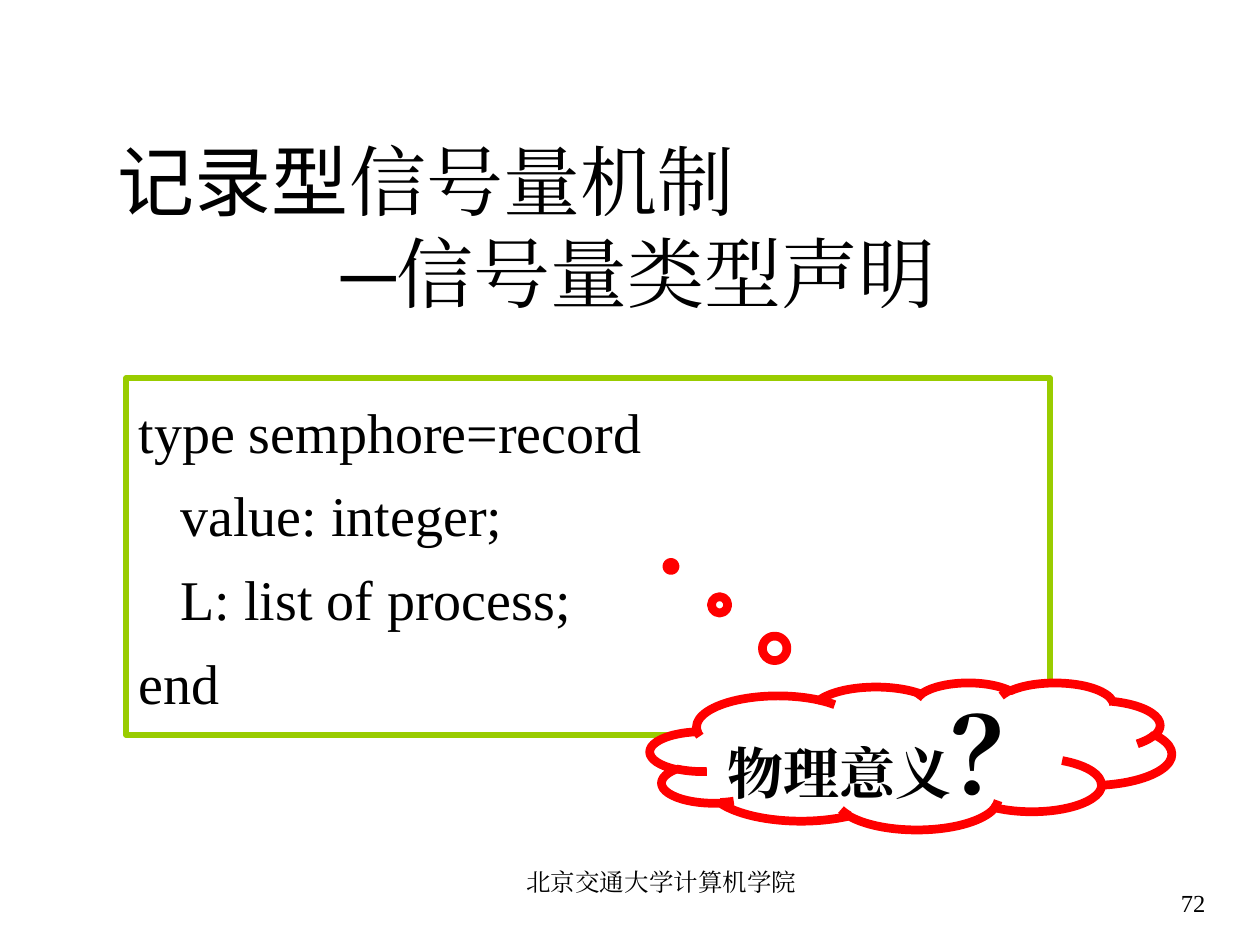
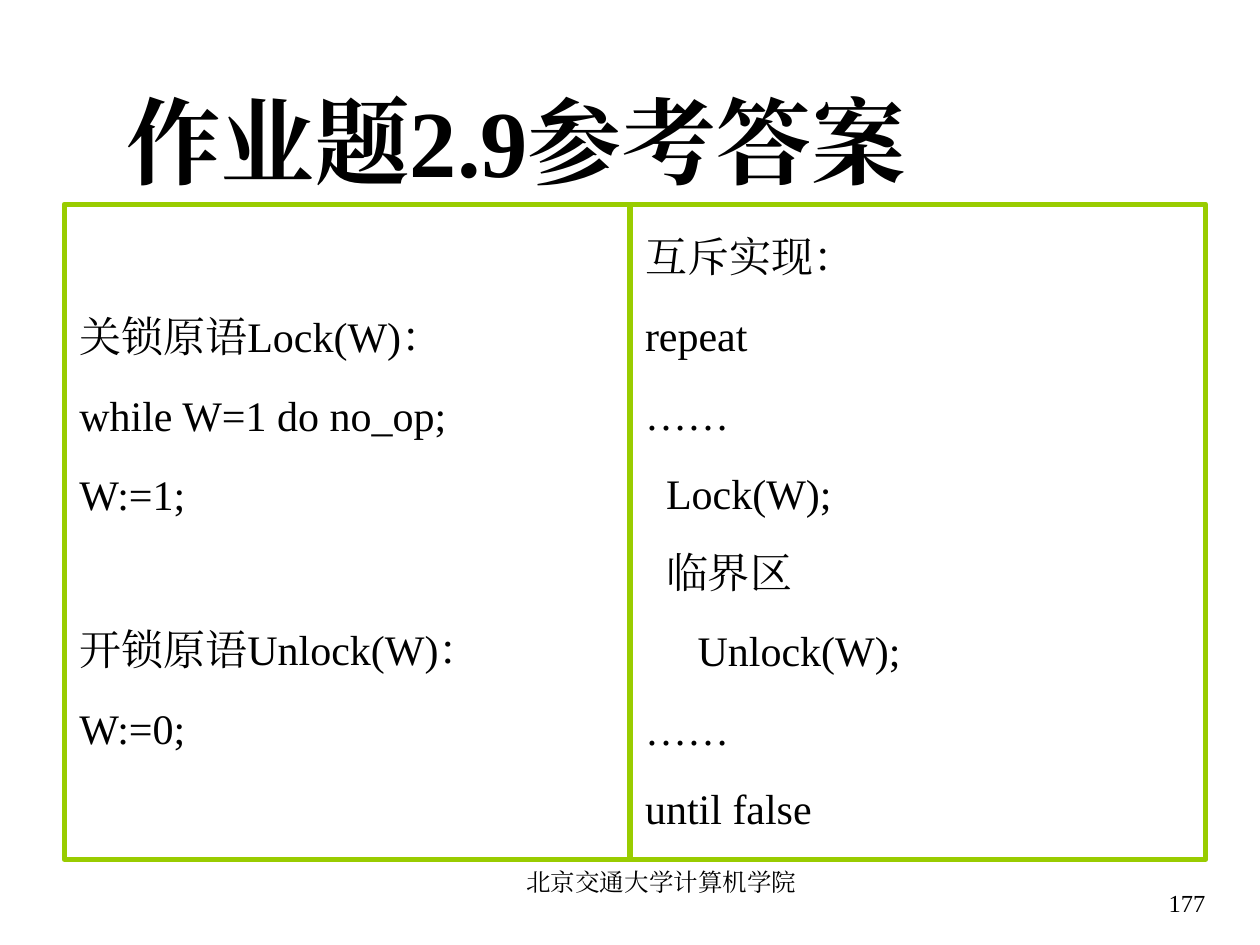
import pptx
import pptx.util
import pptx.dml.color
import pptx.enum.shapes
import pptx.enum.text
import pptx.oxml
import pptx.oxml.ns

Pt = pptx.util.Pt
ALIGN = pptx.enum.text.PP_ALIGN
ANCHOR = pptx.enum.text.MSO_ANCHOR

BLACK = pptx.dml.color.RGBColor(0x00, 0x00, 0x00)
WHITE = pptx.dml.color.RGBColor(0xFF, 0xFF, 0xFF)
GREEN = pptx.dml.color.RGBColor(0x99, 0xCC, 0x00)
RED = pptx.dml.color.RGBColor(0xFF, 0x00, 0x00)

SERIF = "Times New Roman"
SANS = "Arial"
CHINESE = "Noto Sans CJK SC"
FOOTER = "北京交通大学计算机学院"
TITLE_ONE_BODY, TITLE_TWO_BODIES = 1, 3


class SlideBuilder:
    """Holds the deck style and the page being built."""

    def __init__(self, deck):
        self.deck = deck
        self.page = None

    def start_page(self, layout, number):
        self.page = self.deck.slides.add_slide(self.deck.slide_layouts[layout])
        self.label(str(number), (624, 492, 72, 36), ALIGN.RIGHT, ANCHOR.BOTTOM)
        self.label(FOOTER, (264, 492, 228, 36), ALIGN.CENTER, ANCHOR.TOP, before=8.8)

    def place(self, box, area):
        box.left, box.top, box.width, box.height = (Pt(length) for length in area)

    def frame(self, box, anchor, insets=(7.2, 3.6, 7.2, 3.6)):
        text_frame = box.text_frame
        text_frame.word_wrap = True
        text_frame.auto_size = pptx.enum.text.MSO_AUTO_SIZE.NONE
        text_frame.vertical_anchor = anchor
        (text_frame.margin_left, text_frame.margin_top,
         text_frame.margin_right, text_frame.margin_bottom) = map(Pt, insets)
        return text_frame

    def format_span(self, span, size, bold=False, font=SERIF):
        span.font.size = Pt(size)
        span.font.bold = bold
        span.font.name = font
        span.font.color.rgb = BLACK
        # East Asian glyphs take the same font name
        east_asian = pptx.oxml.parse_xml(
            f'<a:ea {pptx.oxml.ns.nsdecls("a")} typeface="{font}"/>')
        span.font._element.find(pptx.oxml.ns.qn("a:latin")).addnext(east_asian)

    def format_para(self, para, align=ALIGN.LEFT, before=0, indent=0):
        para.alignment = align
        para.space_before = Pt(before)
        properties = para._p.get_or_add_pPr()
        properties.set("marL", str(Pt(indent)))
        properties.set("indent", "0")

    def label(self, text, area, align, anchor, before=0):
        box = self.page.shapes.add_textbox(*map(Pt, area))
        para = self.frame(box, anchor).paragraphs[0]
        para.text = text
        self.format_para(para, align, before)
        self.format_span(para.runs[0], 14)

    def title(self, lines, area, size, anchor, insets, bold=False):
        """Each line is (indent, [(text, font), ...])."""
        box = self.page.shapes.title
        self.place(box, area)
        text_frame = self.frame(box, anchor, insets)
        text_frame.text = "\n".join("" for _ in lines)
        for para, (indent, spans) in zip(text_frame.paragraphs, lines):
            self.format_para(para, indent=indent)
            for text, font in spans:
                span = para.add_run()
                span.text = text
                self.format_span(span, size, bold, font)

    def framed_list(self, index, lines, area, size, before, insets):
        """Each line is (text, indent, extra space before)."""
        box = self.page.placeholders[index]
        self.place(box, area)
        box.line.color.rgb = GREEN
        box.line.width = Pt(3)
        text_frame = self.frame(box, ANCHOR.MIDDLE, insets)
        text_frame.text = "\n".join(text for text, _, _ in lines)
        for para, (_, indent, extra) in zip(text_frame.paragraphs, lines):
            self.format_para(para, before=before + extra, indent=indent)
            para._p.get_or_add_pPr().append(
                pptx.oxml.parse_xml(f'<a:buNone {pptx.oxml.ns.nsdecls("a")}/>'))
            self.format_span(para.runs[0], size)

    def thought_cloud(self, spans, area, tail):
        cloud = self.page.shapes.add_shape(
            pptx.enum.shapes.MSO_SHAPE.CLOUD_CALLOUT, *map(Pt, area))
        cloud.adjustments[0], cloud.adjustments[1] = tail
        cloud.shadow.inherit = False
        cloud.fill.solid()
        cloud.fill.fore_color.rgb = WHITE
        cloud.line.color.rgb = RED
        cloud.line.width = Pt(5)
        para = self.frame(cloud, ANCHOR.MIDDLE, (1.4, 3.6, 1.4, 3.6)).paragraphs[0]
        self.format_para(para, ALIGN.CENTER, before=37.5)
        for text, size in spans:
            span = para.add_run()
            span.text = text
            self.format_span(span, size, bold=True)


def semaphore_page(builder):
    builder.start_page(TITLE_ONE_BODY, 72)
    builder.title(
        [(0, [("记录型", CHINESE), ("信号量机制", SERIF)]),
         (128, [("─", SANS), ("信号量类型声明", SERIF)])],
        (66, 72, 600, 114), 44, ANCHOR.MIDDLE, (1.4, 0.7, 1.4, 0.7))
    builder.framed_list(
        1,
        [("type semphore=record", 0, 0), ("value: integer;", 24, 0),
         ("L: list of process;", 24, 0), ("end", 0, 0)],
        (72, 216, 528, 204), 32, 9.5, (7.2, 0.7, 7.2, 0.7))
    builder.thought_cloud([("物理意义", 32), ("？", 60)],
                          (371.5, 390, 298, 84), (-0.46, -1.29))


def answer_page(builder):
    builder.start_page(TITLE_TWO_BODIES, 177)
    builder.title([(0, [("作业题2.9参考答案", SERIF)])], (65, 26, 612, 90),
                  54, ANCHOR.BOTTOM, (7.2, 3.6, 7.2, 3.6), bold=True)

    # Two code columns share one middle edge; the left one has a wider gap
    size, before, line_pitch = 24, 16.2, 43.8
    lock_lines = [
        ("关锁原语Lock(W)：", 0, 0), ("while W=1 do no_op;", 0, 0), ("W:=1;", 0, 0),
        ("开锁原语Unlock(W)：", 0, line_pitch), ("W:=0;", 0, 0)]
    mutex_lines = [
        ("互斥实现：", 0, 0), ("repeat", 0, 0), ("……", 0, 0), ("Lock(W);", 12, 0),
        ("临界区", 12, 0), ("Unlock(W);", 30, 0), ("……", 0, 0), ("until false", 0, 0)]
    left, middle, right = 36.7, 360, 689
    columns = [(1, lock_lines, left, middle), (2, mutex_lines, middle, right)]
    for index, lines, start, end in columns:
        builder.framed_list(index, lines, (start, 116.7, end - start, 374.4),
                            size, before, (8.6, 0.7, 0, 0.7))


def main():
    deck = pptx.Presentation()
    deck.slide_width, deck.slide_height = Pt(720), Pt(540)
    builder = SlideBuilder(deck)
    semaphore_page(builder)
    answer_page(builder)
    deck.save("out.pptx")


if __name__ == "__main__":
    main()
